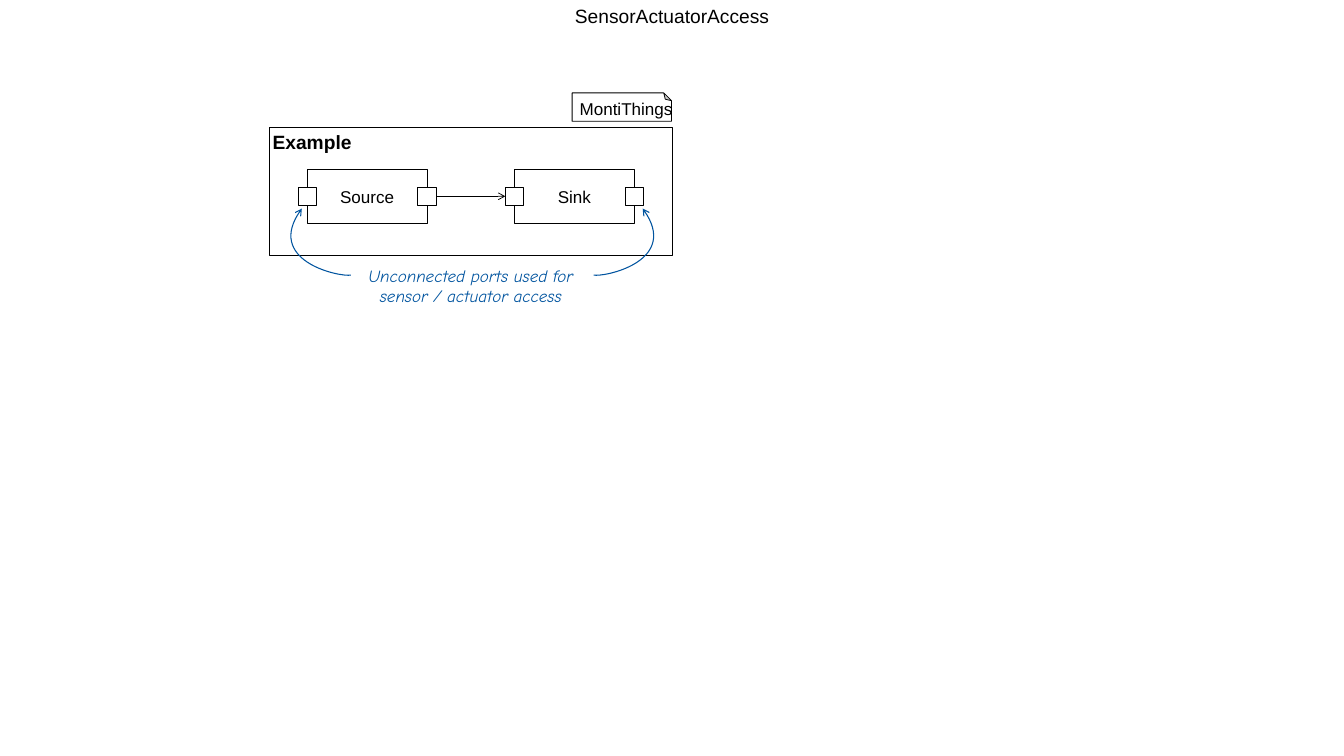
from dataclasses import dataclass

from lxml import etree
from pptx import Presentation
from pptx.dml.color import RGBColor
from pptx.enum.shapes import MSO_CONNECTOR, MSO_SHAPE
from pptx.enum.text import MSO_ANCHOR, MSO_AUTO_SIZE, PP_ALIGN
from pptx.oxml.ns import qn
from pptx.shapes.autoshape import Shape
from pptx.shapes.connector import Connector
from pptx.slide import Slide
from pptx.text.text import TextFrame
from pptx.util import Pt

RECTANGLE, FOLDED_CORNER = MSO_SHAPE.RECTANGLE, MSO_SHAPE.FOLDED_CORNER
STRAIGHT = MSO_CONNECTOR.STRAIGHT
TOP, MIDDLE = MSO_ANCHOR.TOP, MSO_ANCHOR.MIDDLE
LEFT, CENTER = PP_ALIGN.LEFT, PP_ALIGN.CENTER
FIT_SHAPE = MSO_AUTO_SIZE.SHAPE_TO_FIT_TEXT
LEFT_SIDE, RIGHT_SIDE = 1, 3
TITLE_ONLY = 5


@dataclass(frozen=True)
class Theme:
    ink: RGBColor = RGBColor(0, 0, 0)
    paper: RGBColor = RGBColor(255, 255, 255)
    note: RGBColor = RGBColor(0x00, 0x54, 0x9F)
    font: str = "Arial"
    note_font: str = "Comic Neue"
    heading_size: float = 18
    label_size: float = 16
    outline: float = 0.75
    port_outline: float = 0.5
    note_outline: float = 1


@dataclass(frozen=True)
class Box:
    left: float
    top: float
    width: float
    height: float

    def in_points(self) -> tuple[int, ...]:
        return tuple(Pt(n) for n in (self.left, self.top, self.width, self.height))


@dataclass(frozen=True)
class Component:
    name: str
    box: Box


THEME = Theme()
TITLE = Box(261.4, 0, 737.3, 28.8)
FRAME = Box(252.7, 119.5, 377.3, 120.2)
LANGUAGE_TAG = Box(536.4, 87.1, 93.2, 26.6)
CAPTION = Box(326.2, 244.8, 230.4, 46.1)
COMPONENTS = [
    Component("Source", Box(288, 158.4, 112.3, 51.1)),
    Component("Sink", Box(482.4, 158.4, 112.3, 51.1)),
]
PORT_SIZE = 17.3
MIRROR_AXIS = 442.8
LEFT_CURVE = [(329.04, 257.8), (319.7, 259.9), (246.2, 244.8), (283, 195.5)]
RIGHT_CURVE = [(2 * MIRROR_AXIS - x, y) for x, y in LEFT_CURVE]


def write(frame: TextFrame, text: str, *, size: float = THEME.label_size,
          font: str = THEME.font, color: RGBColor = THEME.ink, bold: bool = False,
          italic: bool = False, align: PP_ALIGN = CENTER,
          anchor: MSO_ANCHOR = MIDDLE, wrap: bool = True) -> None:
    frame.word_wrap = wrap
    frame.vertical_anchor = anchor
    paragraph = frame.paragraphs[0]
    paragraph.alignment = align
    run = paragraph.add_run()
    run.text = text
    run.font.name, run.font.size = font, Pt(size)
    run.font.bold, run.font.italic = bold, italic
    run.font.color.rgb = color


def set_line(shape: Shape | Connector, color: RGBColor, width: float, arrow: bool = False) -> None:
    shape.line.color.rgb = color
    shape.line.width = Pt(width)
    if arrow:
        line = shape.element.spPr.find(qn("a:ln"))
        etree.SubElement(line, qn("a:tailEnd"), type="arrow")


def add_box(slide: Slide, box: Box, outline: float = THEME.outline,
            kind: MSO_SHAPE = RECTANGLE) -> Shape:
    shape = slide.shapes.add_shape(kind, *box.in_points())
    shape.shadow.inherit = False
    shape.fill.solid()
    shape.fill.fore_color.rgb = THEME.paper
    set_line(shape, THEME.ink, outline)
    return shape


def add_component(slide: Slide, component: Component) -> tuple[Shape, Shape]:
    box = component.box
    write(add_box(slide, box).text_frame, component.name)
    top = box.top + (box.height - PORT_SIZE) / 2
    left_port, right_port = (
        add_box(slide, Box(edge - PORT_SIZE / 2, top, PORT_SIZE, PORT_SIZE), THEME.port_outline)
        for edge in (box.left, box.left + box.width)
    )
    return left_port, right_port


def connect(slide: Slide, start: Shape, end: Shape) -> None:
    connector = slide.shapes.add_connector(STRAIGHT, 0, 0, 0, 0)
    connector.begin_connect(start, RIGHT_SIDE)
    connector.end_connect(end, LEFT_SIDE)
    set_line(connector, THEME.ink, THEME.outline, arrow=True)
    etree.SubElement(connector.element.spPr, qn("a:effectLst"))


def add_language_tag(slide: Slide) -> None:
    tag = add_box(slide, LANGUAGE_TAG, kind=FOLDED_CORNER)
    properties = tag.element.spPr
    properties.find(qn("a:xfrm")).set("flipV", "1")
    adjustments = properties.find(qn("a:prstGeom")).find(qn("a:avLst"))
    etree.SubElement(adjustments, qn("a:gd"), name="adj", fmla="val 27600")
    write(tag.text_frame, "MontiThings", align=LEFT, wrap=False)
    tag.text_frame.paragraphs[0].line_spacing = 0.7
    tag.element.txBody.find(qn("a:bodyPr")).set("rot", "10800000")


def add_curved_arrow(slide: Slide, points: list[tuple[float, float]]) -> None:
    start, *others = [(Pt(x), Pt(y)) for x, y in points]
    builder = slide.shapes.build_freeform(*start)
    builder.add_line_segments(others, close=False)
    arrow = builder.convert_to_shape()
    segments = list(arrow.element.iter(qn("a:lnTo")))
    curve = etree.SubElement(segments[0].getparent(), qn("a:cubicBezTo"))
    for segment in segments:
        curve.append(segment[0])
        segment.getparent().remove(segment)
    arrow.shadow.inherit = False
    arrow.fill.background()
    set_line(arrow, THEME.note, THEME.note_outline, arrow=True)


def add_title(slide: Slide) -> None:
    title = slide.shapes.title
    title.left, title.top, title.width, title.height = TITLE.in_points()
    write(title.text_frame, "SensorActuatorAccess", size=THEME.heading_size, anchor=TOP)
    title.text_frame.auto_size = FIT_SHAPE


def add_frame(slide: Slide) -> None:
    frame = add_box(slide, FRAME).text_frame
    frame.margin_left = frame.margin_right = Pt(2.9)
    frame.margin_top = frame.margin_bottom = Pt(2.9)
    write(frame, "Example", size=THEME.heading_size, bold=True, align=LEFT, anchor=TOP)


def add_caption(slide: Slide) -> None:
    caption = slide.shapes.add_textbox(*CAPTION.in_points()).text_frame
    write(caption, "Unconnected ports used for sensor / actuator access",
          font=THEME.note_font, color=THEME.note, italic=True, anchor=TOP)
    caption.auto_size = FIT_SHAPE


def main() -> None:
    presentation = Presentation()
    presentation.slide_width, presentation.slide_height = Pt(1260), Pt(708.5)
    slide = presentation.slides.add_slide(presentation.slide_layouts[TITLE_ONLY])
    add_title(slide)
    add_frame(slide)
    source_ports, sink_ports = [add_component(slide, component) for component in COMPONENTS]
    connect(slide, source_ports[1], sink_ports[0])
    add_language_tag(slide)
    add_caption(slide)
    for curve in (LEFT_CURVE, RIGHT_CURVE):
        add_curved_arrow(slide, curve)
    presentation.save("out.pptx")


if __name__ == "__main__":
    main()
